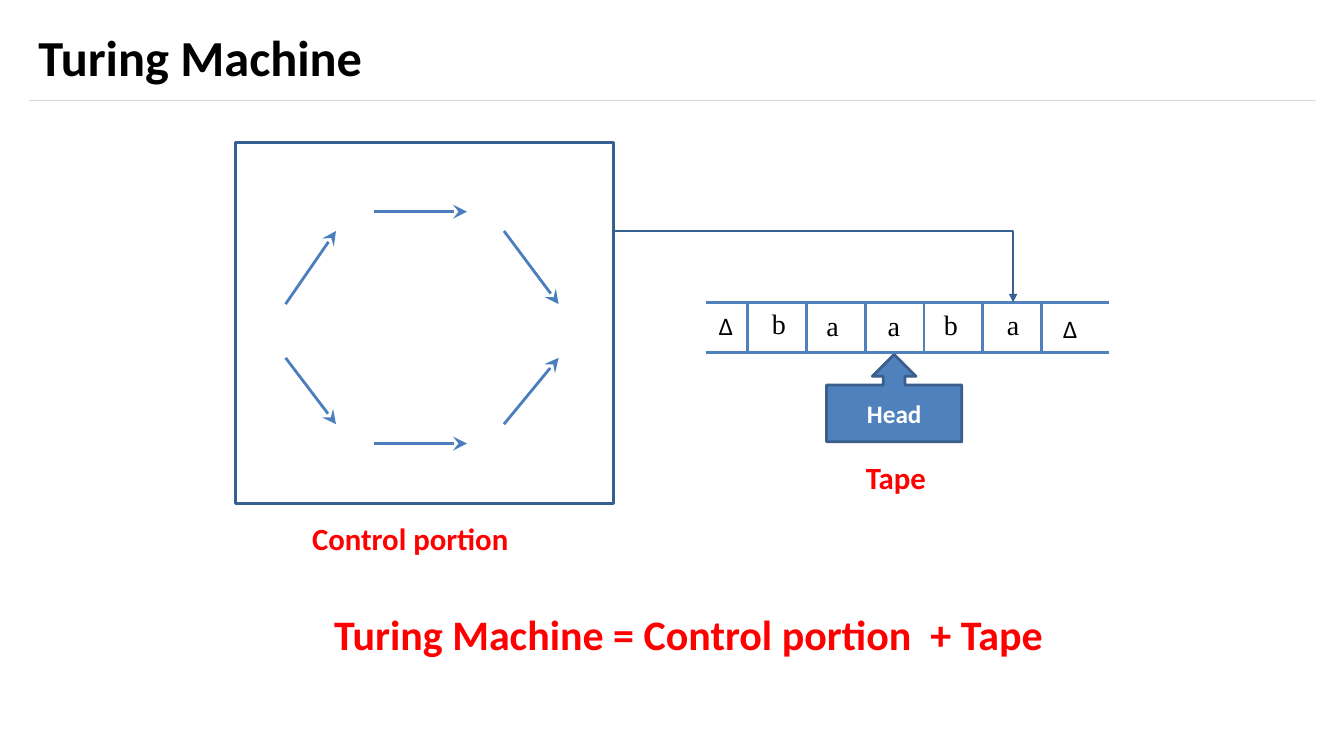
"""Build the Turing Machine slide: control portion, tape and head."""
from lxml.etree import SubElement
from pptx import Presentation
from pptx.dml.color import RGBColor
from pptx.enum.shapes import MSO_CONNECTOR as LINK, MSO_SHAPE as SHAPE
from pptx.enum.text import MSO_ANCHOR as ANCHOR, PP_ALIGN as ALIGN
from pptx.oxml import parse_xml
from pptx.oxml.ns import nsdecls, qn
from pptx.util import Inches, Pt

BLACK = RGBColor(0x00, 0x00, 0x00)
WHITE = RGBColor(0xFF, 0xFF, 0xFF)
RED = RGBColor(0xFF, 0x00, 0x00)
GREY = RGBColor(0xD9, 0xD9, 0xD9)
BLUE = RGBColor(0x4F, 0x81, 0xBD)
ARROW_BLUE = RGBColor(0x4B, 0x7E, 0xBC)
DARK_BLUE = RGBColor(0x37, 0x60, 0x92)
HEAD_EDGE = RGBColor(0x3A, 0x5F, 0x8C)

deck = Presentation()
deck.slide_width, deck.slide_height = Inches(13.33), Inches(7.5)
COLUMN, ROW = deck.slide_width / 160, deck.slide_height / 90
slide = deck.slides.add_slide(deck.slide_layouts[6])
shapes = slide.shapes


def place(left, top, width, height):
    return int(left * COLUMN), int(top * ROW), int(width * COLUMN), int(height * ROW)


def write(text, box=None, holder=None, size=22, color=RED, font="Calibri",
          bold=True, align=ALIGN.CENTER, anchor=ANCHOR.MIDDLE, wrap=True):
    holder = holder or shapes.add_textbox(*place(*box))
    frame = holder.text_frame
    frame.word_wrap, frame.vertical_anchor = wrap, anchor
    paragraph = frame.paragraphs[0]
    paragraph.alignment = align
    run = paragraph.add_run()
    run.text = text
    run.font.size, run.font.name, run.font.bold = Pt(size), font, bold
    run.font.color.rgb = color
    return run


def connect(start, end, color=BLUE, weight=2, kind=LINK.STRAIGHT, tip=None, tip_size="med"):
    link = shapes.add_connector(kind, *place(*start, *end))
    link.line.color.rgb, link.line.width = color, Pt(weight)
    properties = link._element.spPr
    if tip:
        SubElement(properties.find(qn("a:ln")), qn("a:tailEnd"), type=tip, w=tip_size, len=tip_size)
    SubElement(properties, qn("a:effectLst"))
    return link


connect((3.4, 12), (156.7, 12), color=GREY, weight=0.75)
write("Turing Machine", (3.4, 1.4, 153.4, 10.6), size=36, color=BLACK, align=ALIGN.LEFT)
page_number = write("5", (70.3, 85.4, 11, 4.8), size=18, color=WHITE, bold=False)
page_number.font._element.find(qn("a:solidFill")).addnext(parse_xml(
    f'<a:effectLst {nsdecls("a")}><a:outerShdw blurRad="38100" dist="38100" dir="2700000">'
    '<a:srgbClr val="000000"><a:alpha val="43000"/></a:srgbClr></a:outerShdw></a:effectLst>'))

head = shapes.add_shape(SHAPE.UP_ARROW_CALLOUT, *place(98.4, 42.2, 16.1, 10.4))
head.shadow.inherit = False
head.fill.solid()
head.fill.fore_color.rgb = BLUE
head.line.color.rgb, head.line.width = HEAD_EDGE, Pt(2)
write("Head", holder=head, size=18, color=WHITE)

TAPE_TOP, TAPE_BOTTOM = 36, 42
for edge in (TAPE_TOP, TAPE_BOTTOM):
    connect((84, edge), (132, edge))
for divider in range(89, 125, 7):
    connect((divider, TAPE_TOP), (divider, TAPE_BOTTOM))

tape_symbols = [("Δ", 84.4, 36.4), ("b", 90.7, 35.9), ("a", 97.2, 36.1), ("a", 104.5, 36.1),
                ("b", 111.2, 36), ("a", 118.7, 36), ("Δ", 125.4, 36.7)]
for symbol, left, top in tape_symbols:
    blank = symbol == "Δ"
    write(symbol, (left, top, 4, 5), size=18 if blank else 20, color=BLACK, bold=False,
          font="Calibri" if blank else "Times New Roman",
          align=ALIGN.LEFT, anchor=ANCHOR.TOP, wrap=False)

state_moves = [((34, 36.2), (40, 27.5)), ((44.5, 25.2), (55.6, 25.2)),
               ((60, 27.5), (66.5, 36.2)), ((34, 42.6), (40, 50.5)),
               ((44.5, 52.8), (55.6, 52.8)), ((60, 50.5), (66.5, 42.6))]
for start, end in state_moves:
    connect(start, end, color=ARROW_BLUE, tip="stealth", tip_size="lg")

control = shapes.add_shape(SHAPE.RECTANGLE, *place(28, 17, 45, 43))
control.shadow.inherit = False
control.fill.background()
control.line.color.rgb, control.line.width = DARK_BLUE, Pt(2.25)

tape_link = connect((73, 27.5), (120.6, TAPE_TOP), color=DARK_BLUE, kind=LINK.ELBOW, tip="triangle")
tape_link._element.spPr.find(qn("a:prstGeom")).set("prst", "bentConnector2")

write("Control portion ", (34, 60.2, 30.5, 7.8))
write("Turing Machine = Control portion  + Tape", (32, 72.6, 100, 5.8), size=30)
write("Tape", (91.4, 52.9, 30.5, 7.8))

deck.save("out.pptx")
